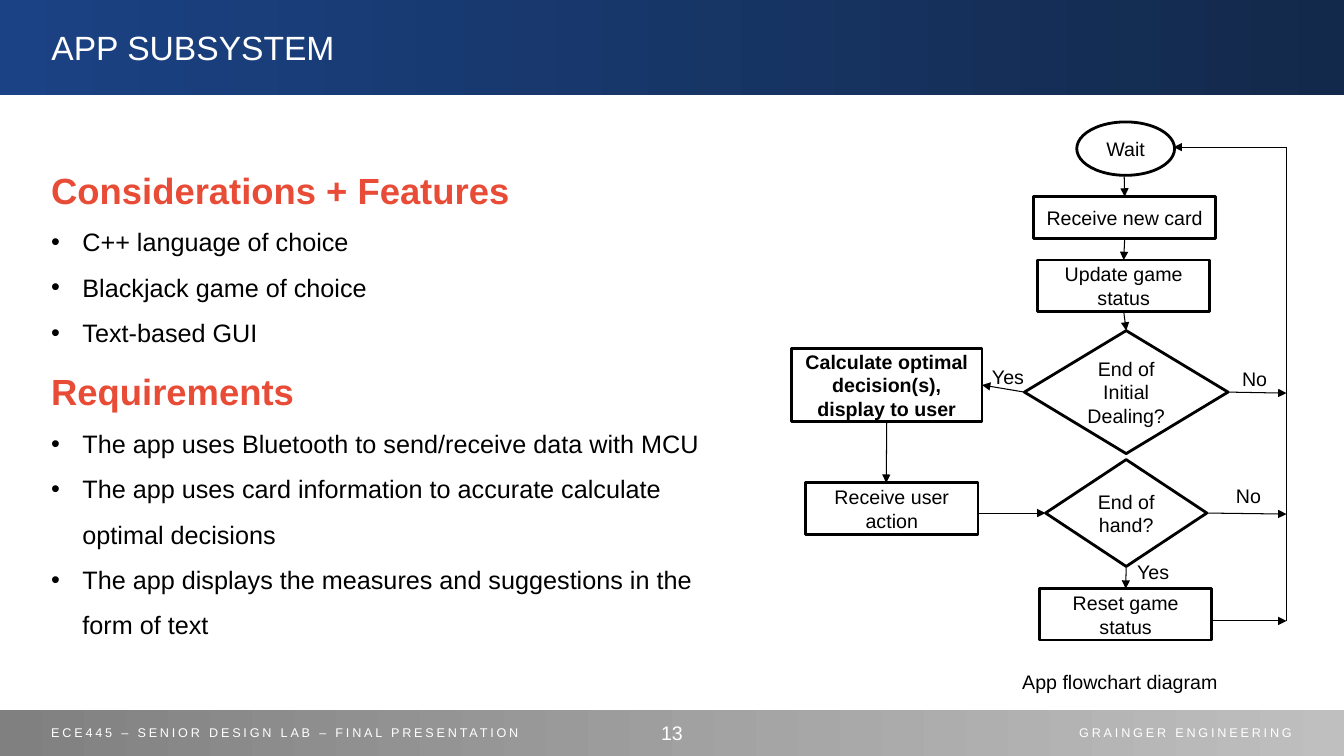
from lxml.etree import SubElement
from pptx import Presentation
from pptx.dml.color import RGBColor as RGB
from pptx.enum.shapes import MSO_CONNECTOR as Conn, MSO_SHAPE as Shape
from pptx.enum.text import MSO_ANCHOR as Anchor, MSO_AUTO_SIZE as Fit, PP_ALIGN as Align
from pptx.oxml.ns import qn
from pptx.util import Inches, Pt

FONT = "Arial"
HUES = {"ink": "000000", "paper": "FFFFFF", "accent": "E84B36",
        "navy": "13294B", "blue": "1B4284", "gray": "808080", "silver": "BFBFBF"}
TOP, LEFT, BOTTOM, RIGHT = range(4)
LOOP = 12.76

TOPICS = [
    ("Considerations + Features",
     ["C++ language of choice", "Blackjack game of choice", "Text-based GUI"]),
    ("Requirements",
     ["The app uses Bluetooth to send/receive data with MCU",
      "The app uses card information to accurate calculate optimal decisions",
      "The app displays the measures and suggestions in the form of text"]),
]

STEPS = {
    "wait": (Shape.OVAL, 10.68, 1.21, 0.97, 0.53, "Wait"),
    "card": (Shape.RECTANGLE, 10.25, 1.95, 1.81, 0.42, "Receive new card"),
    "update": (Shape.RECTANGLE, 10.29, 2.58, 1.71, 0.51, "Update game status"),
    "deal": (Shape.DIAMOND, 10.16, 3.28, 2.02, 1.22, "End of Initial Dealing?"),
    "advise": (Shape.RECTANGLE, 7.85, 3.46, 1.89, 0.72,
               "Calculate optimal decision(s), display to user"),
    "action": (Shape.RECTANGLE, 7.99, 4.79, 1.71, 0.51, "Receive user action"),
    "hand": (Shape.DIAMOND, 10.37, 4.56, 1.6, 1.06, "End of hand?"),
    "reset": (Shape.RECTANGLE, 10.31, 5.84, 1.71, 0.51, "Reset game status"),
}

LINKS = [
    ((11.15, 1.75), ("card", TOP)),
    (("card", BOTTOM), ("update", TOP)),
    (("update", BOTTOM), ("deal", TOP)),
    (("deal", LEFT), ("advise", RIGHT)),
    (("deal", RIGHT), (LOOP, 3.9)),
    (("advise", BOTTOM), (8.79, 4.79)),
    ((9.71, 5.09), ("hand", LEFT)),
    (("hand", RIGHT), (LOOP, 5.1)),
    (("hand", BOTTOM), ("reset", TOP)),
    ((12.03, 6.16), (LOOP, 6.16)),
    ((LOOP, 1.46), (11.64, 1.46)),
]

LABELS = [("Yes", 9.74, 3.57), ("No", 12.22, 3.59),
          ("Yes", 11.18, 5.51), ("No", 12.16, 4.75)]


def hue(name):
    """Return a named colour."""
    return RGB.from_string(HUES[name])


def write(para, text, size=14, color="ink", bold=False, track=0):
    """Add one formatted run to a paragraph."""
    run = para.add_run()
    run.text = text
    font = run.font
    font.name, font.size, font.bold = FONT, Pt(size), bold
    font.color.rgb = hue(color)
    if track:
        run._r.get_or_add_rPr().set("spc", str(track * 100))


def add_text(slide, text, x, y, w, h, align=Align.LEFT, **style):
    """Add a one-line text box."""
    frame = slide.shapes.add_textbox(*map(Inches, (x, y, w, h))).text_frame
    frame.word_wrap = True
    para = frame.paragraphs[0]
    para.alignment = align
    write(para, text, **style)


def add_band(slide, y, h, start, end):
    """Add a full-width gradient band."""
    band = slide.shapes.add_shape(Shape.RECTANGLE, 0, Inches(y), Inches(13.33), Inches(h))
    band.shadow.inherit = False
    band.line.fill.background()
    band.fill.gradient()
    band.fill.gradient_angle = 0
    for stop, name in zip(band.fill.gradient_stops, (start, end)):
        stop.color.rgb = hue(name)


def set_title(slide, text):
    """Place the title on top of the header band."""
    title = slide.shapes.title
    title.left, title.top, title.width, title.height = map(Inches, (0.41, 0.22, 11.93, 0.5))
    frame = title.text_frame
    frame.auto_size, frame.vertical_anchor = Fit.NONE, Anchor.TOP
    para = frame.paragraphs[0]
    para.alignment = Align.LEFT
    write(para, text, size=24, color="paper")
    slide.shapes._spTree.append(title._element)


def add_bullet(para):
    """Give a paragraph a hanging black bullet."""
    props = para._p.get_or_add_pPr()
    props.set("marL", str(Inches(0.31)))
    props.set("indent", str(-Inches(0.31)))
    SubElement(SubElement(props, qn("a:buClr")), qn("a:srgbClr")).set("val", HUES["ink"])
    SubElement(props, qn("a:buFont")).set("typeface", FONT)
    SubElement(props, qn("a:buChar")).set("char", "•")


def add_topics(slide):
    """Add the headings with their bullet lists."""
    frame = slide.shapes.add_textbox(*map(Inches, (0.41, 1.4, 7.03, 5.74))).text_frame
    frame.word_wrap = True
    para = frame.paragraphs[0]
    for head, items in TOPICS:
        if para.runs:
            para = frame.add_paragraph()
        para.line_spacing = 1.5
        write(para, head, size=26, color="accent", bold=True)
        for item in items:
            para = frame.add_paragraph()
            add_bullet(para)
            para.line_spacing = 1.5
            write(para, item, size=18)


def add_step(slide, kind, x, y, w, h, text, bold=False):
    """Add one outlined flowchart step."""
    step = slide.shapes.add_shape(kind, *map(Inches, (x, y, w, h)))
    step.shadow.inherit = False
    step.fill.solid()
    step.fill.fore_color.rgb = hue("paper")
    step.line.color.rgb = hue("ink")
    step.line.width = Pt(2)
    frame = step.text_frame
    frame.word_wrap, frame.vertical_anchor = True, Anchor.MIDDLE
    para = frame.paragraphs[0]
    para.alignment = Align.CENTER
    write(para, text, bold=bold)
    return step


def add_link(slide, steps, start, end, arrow=True):
    """Join two ends, each a point or a step's side."""
    link = slide.shapes.add_connector(Conn.STRAIGHT, 0, 0, 0, 0)
    if start[0] in steps:
        link.begin_connect(steps[start[0]], start[1])
    else:
        link.begin_x, link.begin_y = map(Inches, start)
    if end[0] in steps:
        link.end_connect(steps[end[0]], end[1])
    else:
        link.end_x, link.end_y = map(Inches, end)
    link.line.color.rgb = hue("ink")
    link.line.width = Pt(0.75)
    props = link._element.spPr
    if arrow:
        SubElement(props.find(qn("a:ln")), qn("a:tailEnd")).set("type", "triangle")
    SubElement(props, qn("a:effectLst"))


def add_flow(slide):
    """Add the flowchart with its labels and caption."""
    steps = {name: add_step(slide, *spot, bold=name == "advise")
             for name, spot in STEPS.items()}
    for start, end in LINKS:
        add_link(slide, steps, start, end)
    add_link(slide, steps, (LOOP, 6.16), (LOOP, 1.46), arrow=False)
    for text, x, y in LABELS:
        add_text(slide, text, x, y, 0.79, 0.3)
    add_text(slide, "App flowchart diagram", 10.04, 6.6, 3.2, 0.34)


def main():
    """Build and save the slide."""
    deck = Presentation()
    deck.slide_width, deck.slide_height = Inches(13.33), Inches(7.5)
    slide = deck.slides.add_slide(deck.slide_layouts[5])
    add_band(slide, 7.04, 0.46, "gray", "silver")
    add_band(slide, 0, 0.94, "blue", "navy")
    set_title(slide, "APP SUBSYSTEM")
    small = {"size": 9, "color": "paper", "track": 2}
    add_text(slide, "ECE445 – SENIOR DESIGN LAB – FINAL PRESENTATION",
             0.41, 7.14, 5.9, 0.25, **small)
    add_text(slide, "GRAINGER ENGINEERING", 10.21, 7.14, 2.7, 0.25, Align.RIGHT, **small)
    add_text(slide, "13", 6.42, 7.1, 0.49, 0.34, Align.CENTER, color="paper")
    add_topics(slide)
    add_flow(slide)
    deck.save("out.pptx")


if __name__ == "__main__":
    main()
